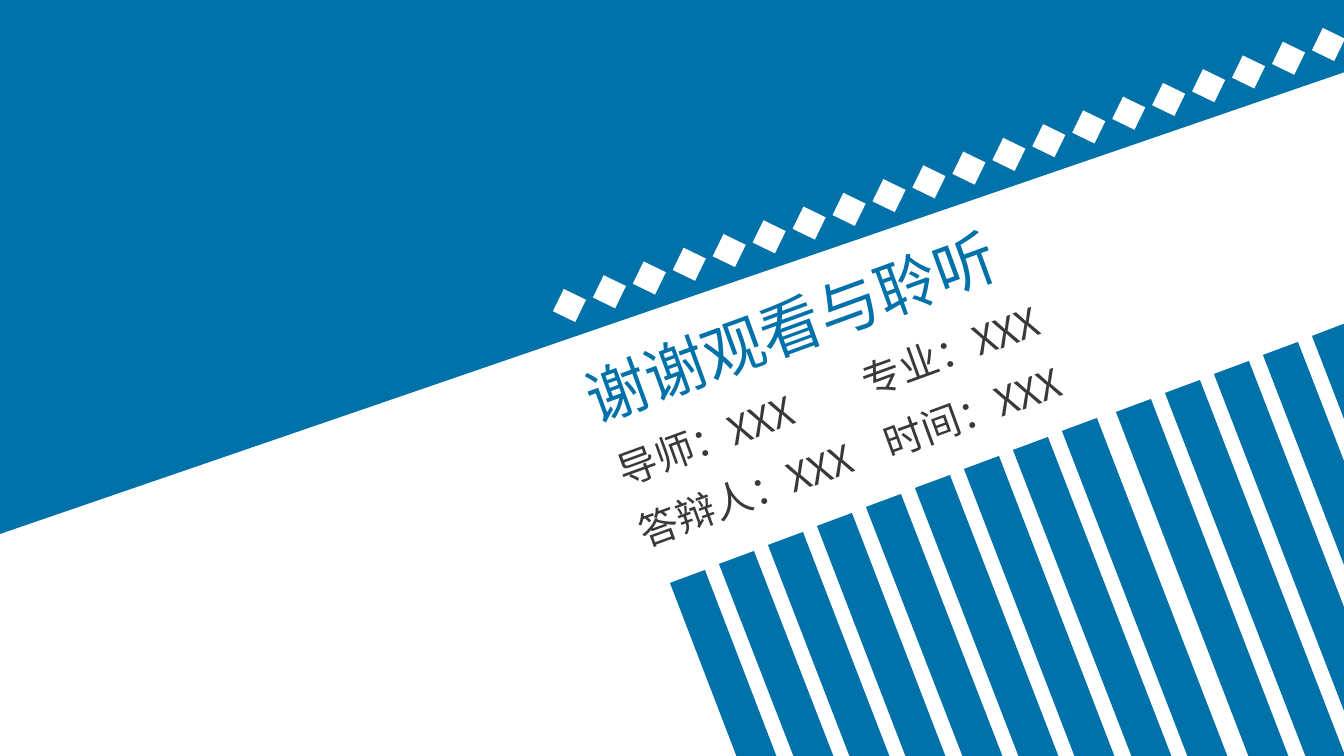
"""Build the closing thank-you slide of a thesis defence."""
from typing import NamedTuple

from lxml import etree
from pptx import Presentation
from pptx import util as u
from pptx.dml.color import RGBColor
from pptx.enum import shapes, text
from pptx.oxml.ns import qn

EMU_PER_PX = 12192000 / 1344
BLUE, WHITE, GREY = "0072A9", "FFFFFF", "3B3838"
TYPEFACE = "Noto Sans CJK SC"
RIGHT_EDGE, BOTTOM_EDGE = 1346, 760
STRIPE_SLOPE = 0.386
STRIPES, DIAMONDS = 14, 20

Point = tuple[int, int]


class Caption(NamedTuple):
    wording: str
    left: int
    top: int
    width: int
    height: int
    size: int
    color: str


CAPTIONS = [
    Caption("专业：XXX", 844, 300, 335, 57, 28, GREY),
    Caption("导师：XXX", 602, 402, 260, 57, 28, GREY),
    Caption("答辩人：XXX", 621, 449, 342, 57, 28, GREY),
    Caption("时间：XXX", 866, 361, 335, 57, 28, GREY),
    Caption("谢谢观看与聆听", 559, 250, 651, 85, 44, BLUE),
]


def px(length: float) -> int:
    return u.Emu(round(length * EMU_PER_PX))


def rgb(color: str) -> RGBColor:
    return RGBColor.from_string(color)


def paint(shape, color: str) -> None:
    shape.fill.solid()
    shape.fill.fore_color.rgb = rgb(color)
    shape.line.fill.background()
    shape.shadow.inherit = False


def draw_outlines(slide, outlines: list[list[Point]], color: str) -> None:
    builder = slide.shapes.build_freeform(*outlines[0][0], scale=EMU_PER_PX)
    for index, (start, *rest) in enumerate(outlines):
        if index:
            builder.move_to(*start)
        builder.add_line_segments(rest, close=True)
    paint(builder.convert_to_shape(), color)


def stripe_end(x: int, y: int) -> Point:
    drop = max(0, min(BOTTOM_EDGE - y, (RIGHT_EDGE - x) / STRIPE_SLOPE))
    return round(x + drop * STRIPE_SLOPE), round(y + drop)


def stripe(index: int) -> list[Point]:
    shift = 5 if index >= 9 else 0
    right = (min(705 + 49 * index + shift, RIGHT_EDGE), 570 - 19 * index)
    left = (670 + 49 * index + shift, 583 - 19 * index)
    return [right, stripe_end(*right), stripe_end(*left), left]


def draw_diamond(slide, index: int) -> None:
    steps = DIAMONDS - 1
    left, top = 552 + 759 * index / steps, 288 - 261 * index / steps
    diamond = slide.shapes.add_shape(
        shapes.MSO_SHAPE.DIAMOND, px(left), px(top), px(35), px(35))
    diamond.rotation = 341
    paint(diamond, WHITE)


def draw_caption(slide, caption: Caption) -> None:
    box = slide.shapes.add_textbox(*map(px, caption[1:5]))
    box.rotation = 340
    frame = box.text_frame
    frame.word_wrap = True
    frame.auto_size = text.MSO_AUTO_SIZE.SHAPE_TO_FIT_TEXT
    run = frame.paragraphs[0].add_run()
    run.text = caption.wording
    run.font.color.rgb = rgb(caption.color)
    for attribute, value in {"size": u.Pt(caption.size), "name": TYPEFACE}.items():
        setattr(run.font, attribute, value)
    etree.SubElement(run._r.get_or_add_rPr(), qn("a:ea"), typeface=TYPEFACE)


def main() -> None:
    deck = Presentation()
    deck.slide_width, deck.slide_height = px(1344), px(756)
    slide = deck.slides.add_slide(deck.slide_layouts[6])
    banner = [(0, -2), (1348, -2), (1348, 71), (0, 534)]
    draw_outlines(slide, [banner], BLUE)
    draw_outlines(slide, [stripe(index) for index in range(STRIPES)], BLUE)
    for index in range(DIAMONDS):
        draw_diamond(slide, index)
    for caption in CAPTIONS:
        draw_caption(slide, caption)
    deck.save("out.pptx")


if __name__ == "__main__":
    main()
